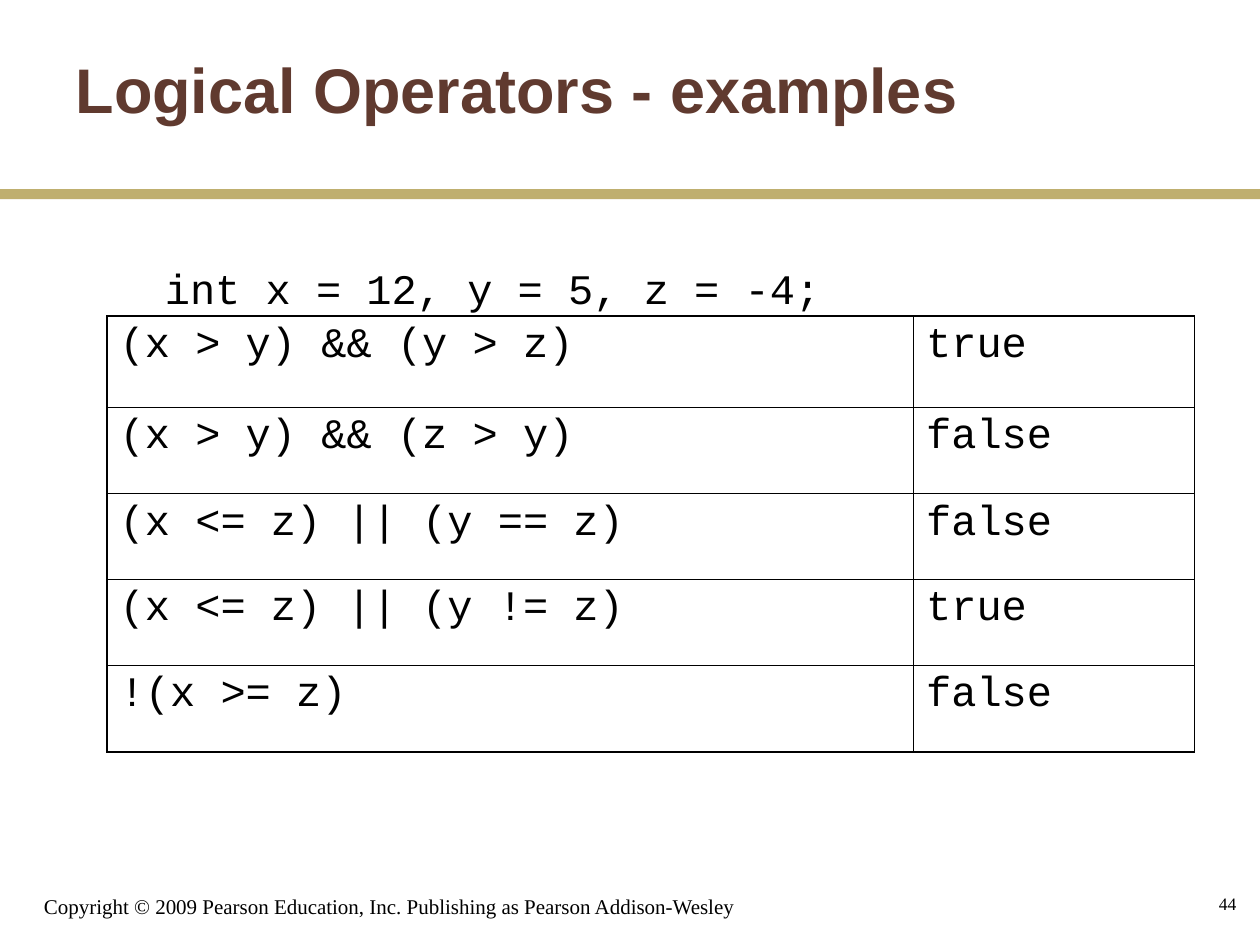
from dataclasses import dataclass

from lxml import etree
from pptx import Presentation
from pptx.dml.color import RGBColor
from pptx.enum.shapes import MSO_SHAPE
from pptx.enum.text import MSO_ANCHOR, PP_ALIGN
from pptx.oxml.ns import qn
from pptx.util import Inches, Pt

TOP, MIDDLE, BOTTOM = MSO_ANCHOR.TOP, MSO_ANCHOR.MIDDLE, MSO_ANCHOR.BOTTOM
LEFT, RIGHT = PP_ALIGN.LEFT, PP_ALIGN.RIGHT
RECTANGLE = MSO_SHAPE.RECTANGLE
TITLE_ONLY = 5


@dataclass(frozen=True)
class Theme:
    ink: str = "000000"
    title: str = "603A2F"
    rule: str = "BFAF6F"
    title_font: str = "Arial"
    code_font: str = "Courier New"
    footer_font: str = "Times New Roman"
    title_size: int = 36
    code_size: int = 24
    footer_size: int = 12
    number_size: int = 10
    outer_line: float = 1.08
    inner_line: float = 0.45


theme = Theme()


def write(frame, text, font, size, color=theme.ink, bold=False, anchor=TOP, align=LEFT):
    """Put one formatted run in the frame and return its paragraph."""
    frame.word_wrap = True
    frame.vertical_anchor = anchor
    paragraph = frame.paragraphs[0]
    paragraph.alignment = align
    run = paragraph.add_run()
    run.text = text
    run.font.name = font
    run.font.size = Pt(size)
    run.font.bold = bold
    run.font.color.rgb = RGBColor.from_string(color)
    return paragraph


def add_border(cell, side, width):
    properties = cell._tc.get_or_add_tcPr()
    line = etree.SubElement(properties, qn(f"a:ln{side}"), w=str(Pt(width)))
    fill = etree.SubElement(line, qn("a:solidFill"))
    etree.SubElement(fill, qn("a:srgbClr"), val=theme.ink)


deck = Presentation()
deck.slide_width, deck.slide_height = Inches(10), Inches(7.5)
slide = deck.slides.add_slide(deck.slide_layouts[TITLE_ONLY])
shapes = slide.shapes

# Title and the rule below it
title = shapes.title
title.left, title.top = Inches(0.5), Inches(0.08)
title.width, title.height = Inches(8.33), Inches(1.25)
write(title.text_frame, "Logical Operators - examples", theme.title_font,
      theme.title_size, theme.title, bold=True, anchor=MIDDLE)

rule = shapes.add_shape(RECTANGLE, Inches(0), Inches(1.5), Inches(10), Inches(0.08))
rule.shadow.inherit = False
rule.fill.solid()
rule.fill.fore_color.rgb = RGBColor.from_string(theme.rule)
rule.line.fill.background()

# Declaration of the variables
declaration = shapes.add_textbox(Inches(0.83), Inches(2.11), Inches(8.23), Inches(0.74))
declaration_line = write(declaration.text_frame, "int x = 12, y = 5, z = -4;",
                         theme.code_font, theme.code_size)
declaration_line.line_spacing = 0.8
declaration_line._p.get_or_add_pPr().set("marL", str(Inches(0.38)))

# Expressions and their values
examples = [
    ("(x > y) && (y > z)", "true"),
    ("(x > y) && (z > y)", "false"),
    ("(x <= z) || (y == z)", "false"),
    ("(x <= z) || (y != z)", "true"),
    ("!(x >= z)", "false"),
]
column_widths = [6.4, 2.23]
row_heights = [0.72, 0.69, 0.68, 0.68, 0.69]

table = shapes.add_table(len(examples), len(column_widths), Inches(0.85), Inches(2.51),
                         Inches(sum(column_widths)), Inches(sum(row_heights))).table
table.first_row = table.horz_banding = False
for column, width in zip(table.columns, column_widths):
    column.width = Inches(width)
for row, height in zip(table.rows, row_heights):
    row.height = Inches(height)

last_row, last_column = len(examples) - 1, len(column_widths) - 1
for r, example in enumerate(examples):
    for c, code in enumerate(example):
        cell = table.cell(r, c)
        write(cell.text_frame, code, theme.code_font, theme.code_size)
        outer_sides = {"L": c == 0, "R": c == last_column,
                       "T": r == 0, "B": r == last_row}
        for side, is_outer in outer_sides.items():
            add_border(cell, side, theme.outer_line if is_outer else theme.inner_line)
        cell.fill.background()

# Footer
copyright_line = shapes.add_textbox(Inches(0.25), Inches(6.92), Inches(6.08), Inches(0.42))
write(copyright_line.text_frame,
      "Copyright © 2009 Pearson Education, Inc. Publishing as Pearson Addison-Wesley",
      theme.footer_font, theme.footer_size, anchor=BOTTOM)

page_number = shapes.add_textbox(Inches(7.83), Inches(6.92), Inches(2.08), Inches(0.5))
write(page_number.text_frame, "44", theme.footer_font, theme.number_size,
      anchor=MIDDLE, align=RIGHT)

deck.save("out.pptx")
